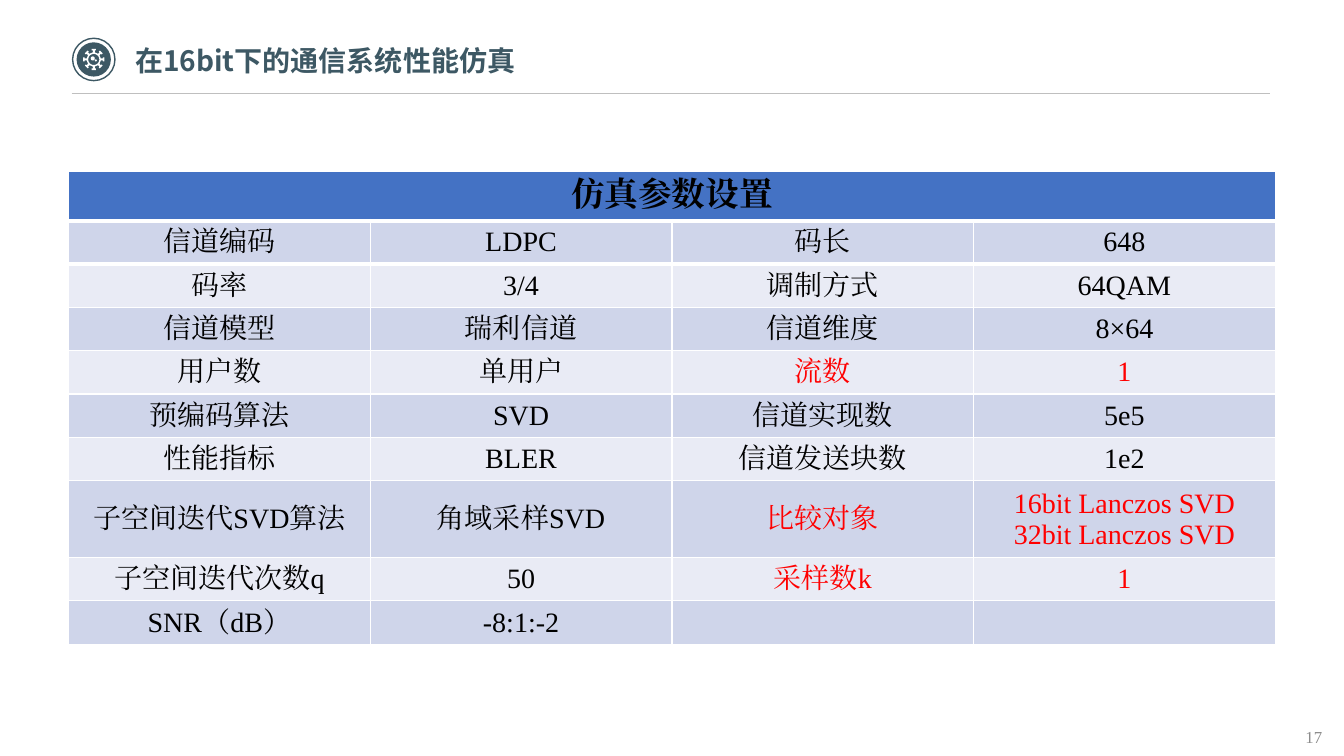
import math
import pptx
import pptx.util
import pptx.dml.color
import pptx.enum.shapes
import pptx.enum.text
import pptx.oxml
import pptx.oxml.ns

Inches = pptx.util.Inches
Pt = pptx.util.Pt
SHAPE = pptx.enum.shapes.MSO_SHAPE
ALIGN = pptx.enum.text.PP_ALIGN
ANCHOR = pptx.enum.text.MSO_ANCHOR
NS = pptx.oxml.ns.nsdecls("a")

SLATE, WHITE, BLACK, RED = "3D5864", "FFFFFF", "000000", "FF0000"
HEADER, BANDS = "4472C4", ("CFD5EA", "E9EBF5")
SERIF, SANS = "Times New Roman", "Noto Sans CJK SC"

PARAMETERS = [
    ("信道编码", "LDPC", "码长", "648"),
    ("码率", "3/4", "调制方式", "64QAM"),
    ("信道模型", "瑞利信道", "信道维度", "8×64"),
    ("用户数", "单用户", "流数", "1"),
    ("预编码算法", "SVD", "信道实现数", "5e5"),
    ("性能指标", "BLER", "信道发送块数", "1e2"),
    ("子空间迭代SVD算法", "角域采样SVD", "比较对象", "16bit Lanczos SVD\n32bit Lanczos SVD"),
    ("子空间迭代次数q", "50", "采样数k", "1"),
    ("SNR（dB）", "-8:1:-2", "", ""),
]
RED_LABELS = {"流数", "比较对象", "采样数k"}
ROW_HEIGHTS = [0.49] + [0.43] * 6 + [0.76] + [0.43] * 2


def rgb(value):
    return pptx.dml.color.RGBColor.from_string(value)


def write(tf, text, size=20, font=SERIF, color=BLACK, bold=False, align=ALIGN.LEFT):
    for i, line in enumerate(text.split("\n")):
        p = tf.paragraphs[0] if i == 0 else tf.add_paragraph()
        p.alignment = align
        r = p.add_run()
        r.text = line
        r.font.size = Pt(size)
        r.font.name = font
        r.font.bold = bold
        r.font.color.rgb = rgb(color)
        ea = pptx.oxml.parse_xml(f'<a:ea {NS} typeface="{font}"/>')
        r.font._element.find(pptx.oxml.ns.qn("a:latin")).addnext(ea)


def polar(cx, cy, radius, angle):
    return cx + radius * math.cos(angle), cy + radius * math.sin(angle)


def circle(cx, cy, radius, steps=32):
    return [polar(cx, cy, radius, 2 * math.pi * i / steps) for i in range(steps)]


def gear_outline(cx, cy, teeth=8):
    tooth = [(0.07, -0.01), (0.09, -0.01), (0.09, -0.02), (0.105, -0.02),
             (0.105, 0.02), (0.09, 0.02), (0.09, 0.01), (0.07, 0.01)]
    return [polar(cx, cy, math.hypot(x, y), math.atan2(y, x) + 2 * math.pi * i / teeth)
            for i in range(teeth) for x, y in tooth]


class Deck:
    def __init__(self, prs):
        self.prs = prs
        self.slide = prs.slides.add_slide(prs.slide_layouts[5])

    def title(self, text, x, y, w, h):
        sp = self.slide.shapes.title
        sp.left, sp.top, sp.width, sp.height = map(Inches, (x, y, w, h))
        tf = sp.text_frame
        tf.margin_left = 0
        tf.vertical_anchor = ANCHOR.MIDDLE
        write(tf, text, font=SANS, color=SLATE, bold=True)

    def text(self, text, x, y, w, h, **style):
        sp = self.slide.shapes.add_textbox(*map(Inches, (x, y, w, h)))
        sp.text_frame.word_wrap = True
        write(sp.text_frame, text, **style)

    def paint(self, sp, fill=None, line=None):
        sp.shadow.inherit = False
        if fill:
            sp.fill.solid()
            sp.fill.fore_color.rgb = rgb(fill)
        else:
            sp.fill.background()
        if line:
            sp.line.color.rgb = rgb(line)
            sp.line.width = Pt(1)
        else:
            sp.line.fill.background()

    def disc(self, cx, cy, radius, **style):
        box = (cx - radius, cy - radius, 2 * radius, 2 * radius)
        self.paint(self.slide.shapes.add_shape(SHAPE.OVAL, *map(Inches, box)), **style)

    def outline(self, contours, fill):
        contours = [[(Inches(x), Inches(y)) for x, y in points] for points in contours]
        fb = self.slide.shapes.build_freeform(*contours[0][0])
        for points in contours:
            fb.move_to(*points[0])
            fb.add_line_segments(points[1:], close=True)
        self.paint(fb.convert_to_shape(), fill=fill)

    def rule(self, x1, x2, y, color, width):
        sp = self.slide.shapes.add_connector(
            pptx.enum.shapes.MSO_CONNECTOR.STRAIGHT, *map(Inches, (x1, y, x2, y)))
        sp.line.color.rgb = rgb(color)
        sp.line.width = Pt(width)
        sp._element.spPr.append(pptx.oxml.parse_xml(f'<a:effectLst {NS}/>'))

    def cell(self, cell, text, fill, anchor=ANCHOR.MIDDLE, **style):
        cell.fill.solid()
        cell.fill.fore_color.rgb = rgb(fill)
        cell.vertical_anchor = anchor
        if text:
            write(cell.text_frame, text, align=ALIGN.CENTER, **style)
        else:
            cell.text_frame.paragraphs[0].font.size = Pt(20)

    def border(self, cell, side, color, width):
        cell._tc.get_or_add_tcPr().insert(0, pptx.oxml.parse_xml(
            f'<a:{side} {NS} w="{Pt(width)}"><a:solidFill>'
            f'<a:srgbClr val="{color}"/></a:solidFill></a:{side}>'))

    def table(self, heading, rows, x, y, w):
        frame = self.slide.shapes.add_table(
            len(rows) + 1, len(rows[0]), *map(Inches, (x, y, w, sum(ROW_HEIGHTS))))
        table = frame.table
        for row, height in zip(table.rows, ROW_HEIGHTS):
            row.height = Inches(height)
        table.cell(0, 0).merge(table.cell(0, len(rows[0]) - 1))
        self.cell(table.cell(0, 0), heading, HEADER, ANCHOR.TOP, size=24, bold=True)
        for j in range(len(rows[0])):
            self.border(table.cell(0, j), "lnB", WHITE, 3)
            self.border(table.cell(1, j), "lnT", WHITE, 3)
        for i, row in enumerate(rows):
            for j, text in enumerate(row):
                red = j >= 2 and row[2] in RED_LABELS
                self.cell(table.cell(i + 1, j), text, BANDS[i % 2],
                          color=RED if red else BLACK)


def main():
    prs = pptx.Presentation()
    prs.slide_width, prs.slide_height = Inches(13.33), Inches(7.5)
    deck = Deck(prs)
    cx, cy = 0.93, 0.59
    deck.disc(cx, cy, 0.21, line=SLATE)
    deck.disc(cx, cy, 0.17, fill=SLATE)
    deck.outline([gear_outline(cx, cy), circle(cx, cy, 0.055),
                  circle(cx - 0.01, cy - 0.01, 0.02), circle(cx + 0.02, cy + 0.01, 0.01)],
                 fill=WHITE)
    deck.rule(0.71, 12.6, 0.93, "BFBFBF", 0.5)
    deck.title("在16bit下的通信系统性能仿真", 1.34, 0.38, 8.94, 0.44)
    deck.table("仿真参数设置", PARAMETERS, 0.68, 1.7, 11.97)
    deck.text("17", 12.85, 7.16, 0.97, 0.3, size=12, color="8C8C8C")
    prs.save("out.pptx")


if __name__ == "__main__":
    main()
